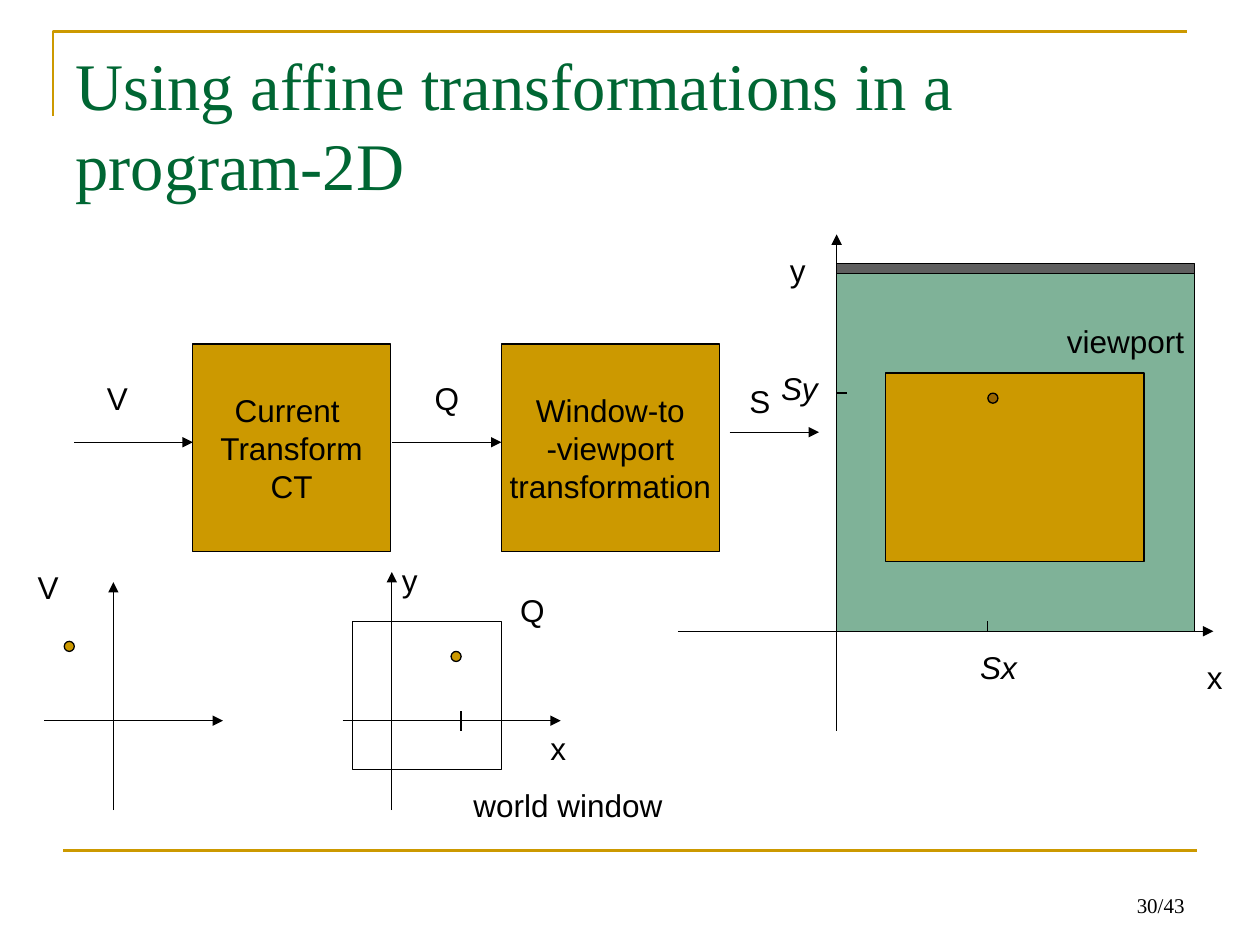
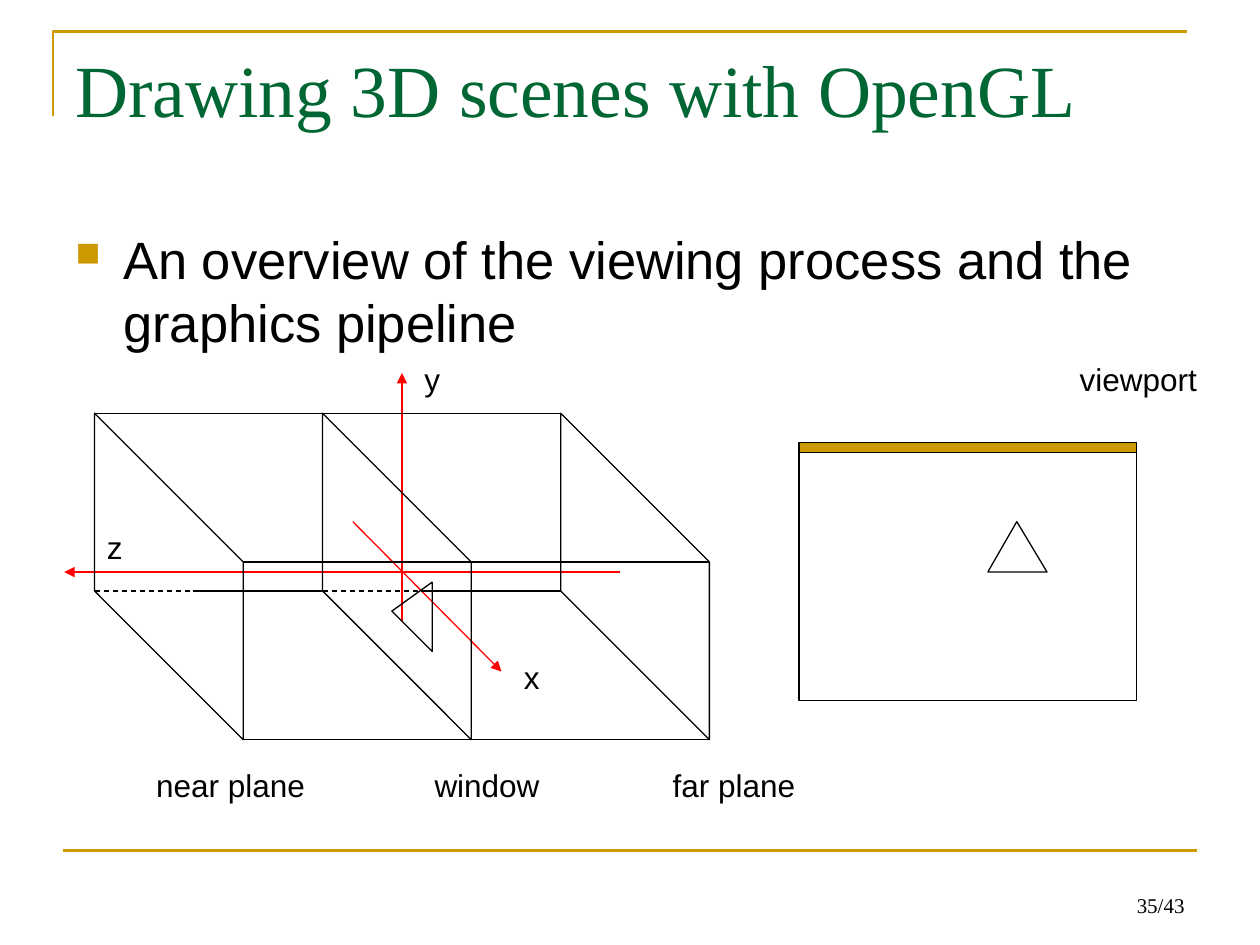
"""Build two slides on 2D affine transformations and the 3D viewing pipeline."""
from itertools import pairwise

from lxml.etree import SubElement
from pptx import Presentation
from pptx.dml.color import RGBColor
from pptx.enum.dml import MSO_LINE_DASH_STYLE as DASH
from pptx.enum.shapes import MSO_CONNECTOR as CONNECTOR, MSO_SHAPE as SHAPE
from pptx.enum.text import MSO_ANCHOR as ANCHOR, MSO_AUTO_SIZE as AUTO_SIZE, PP_ALIGN as ALIGN
from pptx.oxml.ns import qn
from pptx.util import Inches, Pt

COLORS = {"gold": "CC9900", "green": "006633", "black": "000000",
          "red": "FF0000", "gray": "5F5F5F", "brown": "996600"}
SERIF, SANS = "Times New Roman", "Arial"
DOT = 0.08

AFFINE = {
    "title": ("Using affine transformations in a program-2D", 38),
    "number": "30/43",
    "flow": [(0.59, 3.51, 1.53, 3.51), (3.11, 3.51, 3.98, 3.51), (5.79, 3.43, 6.5, 3.43)],
    "axes": [(6.64, 5.8, 6.64, 1.86), (5.38, 5.01, 9.63, 5.01),
             (0.35, 5.72, 1.77, 5.72), (0.9, 6.43, 0.9, 4.62),
             (2.72, 5.72, 4.45, 5.72), (3.11, 6.43, 3.11, 4.54)],
    "stages": [((1.53, 2.73, 1.57, 1.65), ["Current ", "Transform", "CT"]),
               ((3.98, 2.73, 1.73, 1.65), ["Window-to", "-viewport", "transformation"])],
    "screen": (6.64, 2.17, 2.84, 2.84),
    "viewport": (7.03, 2.96, 2.05, 1.5),
    "world_window": (2.8, 4.93, 1.18, 1.18),
    "ticks": [(6.64, 3.12, 6.72, 3.12), (7.84, 5.01, 7.84, 4.93), (3.66, 5.8, 3.66, 5.64)],
    "points": [(0.51, 5.09, "gold"), (3.58, 5.17, "gold"), (7.84, 3.12, "brown")],
    "labels": [("V", 0.75, 2.96, 0.36), ("Q", 3.35, 2.96, 0.39), ("S", 5.85, 2.98, 0.36),
               ("y", 6.17, 1.94, 0.32), ("x", 9.48, 5.17, 0.32), ("V", 0.2, 4.46, 0.36),
               ("x", 4.27, 5.74, 0.32), ("y", 3.09, 4.4, 0.32), ("Q", 4.03, 4.64, 0.39),
               ("world window", 3.66, 6.19, 1.7), ("viewport", 8.37, 2.51, 1.13)],
    "italic_labels": [("Sx", 7.68, 5.09, 0.49), ("Sy", 6.1, 2.88, 0.49)],
}
SCENE = {
    "title": ("Drawing 3D scenes with OpenGL", 42),
    "number": "35/43",
    "bullet": "An overview of the viewing process and the graphics pipeline",
    "axes": [(3.19, 4.93, 3.19, 2.96), (4.92, 4.54, 0.51, 4.54), (2.8, 4.14, 3.98, 5.33)],
    "planes": [0.75, 2.56, 4.45],
    "plane_top": 3.28,
    "plane_height": 1.41,
    "slant": 1.18,
    "hidden_length": 0.78,
    "triangles": [[(3.43, 4.62), (3.11, 4.85), (3.43, 5.17)],
                  [(8.07, 4.14), (7.84, 4.54), (8.31, 4.54)]],
    "screen": (6.34, 3.59, 2.68, 1.97),
    "labels": [("x", 4.06, 5.17, 0.32), ("y", 3.27, 2.81, 0.32), ("z", 0.75, 4.14, 0.32),
               ("near plane", 1.14, 6.03, 1.38), ("window", 3.35, 6.03, 1.05),
               ("far plane", 5.24, 6.03, 1.17), ("viewport", 8.47, 2.81, 1.13)],
}


def rgb(name):
    return RGBColor.from_string(COLORS[name])


def style_line(shape, color="black", width=0.75):
    shape.line.color.rgb = rgb(color)
    shape.line.width = Pt(width)


def write(shape, lines, size, font=SANS, color="black", align=ALIGN.LEFT, italic=None):
    frame = shape.text_frame
    frame.text = "\n".join(lines)
    for paragraph in frame.paragraphs:
        paragraph.alignment = align
        paragraph.font.size = Pt(size)
        paragraph.font.name = font
        paragraph.font.italic = italic
        paragraph.font.color.rgb = rgb(color)


def add_text(slide, box, text, size, **style):
    shape = slide.shapes.add_textbox(*map(Inches, box))
    shape.text_frame.word_wrap = True
    write(shape, [text], size, **style)
    return shape


def add_labels(slide, labels, italic=None):
    for text, left, top, width in labels:
        label = add_text(slide, (left, top, width, 0.4), text, 18, italic=italic)
        label.text_frame.word_wrap = False
        label.text_frame.auto_size = AUTO_SIZE.SHAPE_TO_FIT_TEXT


def add_line(slide, ends, color="black", width=0.75, arrow=False, dashed=False):
    connector = slide.shapes.add_connector(CONNECTOR.STRAIGHT, *map(Inches, ends))
    style_line(connector, color, width)
    if dashed:
        connector.line.dash_style = DASH.DASH
    if arrow:
        SubElement(connector.line._get_or_add_ln(), qn("a:tailEnd"), type="triangle")
    SubElement(connector._element.spPr, qn("a:effectLst"))


def add_box(slide, box, fill=None, kind=SHAPE.RECTANGLE):
    shape = slide.shapes.add_shape(kind, *map(Inches, box))
    shape.shadow.inherit = False
    style_line(shape)
    if fill:
        shape.fill.solid()
        shape.fill.fore_color.rgb = rgb(fill)
    else:
        shape.fill.background()
    return shape


def add_outline(slide, points, close, color="black", width=0.75):
    start, *rest = [tuple(map(Inches, point)) for point in points]
    builder = slide.shapes.build_freeform(*start)
    builder.add_line_segments(rest, close=close)
    shape = builder.convert_to_shape()
    shape.shadow.inherit = False
    shape.fill.background()
    style_line(shape, color, width)


def add_title_bar(slide, screen, fill):
    left, top, width, _ = screen
    add_box(slide, (left, top - DOT, width, DOT), fill)


def start_slide(presentation, content):
    slide = presentation.slides.add_slide(presentation.slide_layouts[6])
    add_outline(slide, [(0.42, 0.92), (0.42, 0.25), (9.42, 0.25)], False, "gold", 1.5)
    add_line(slide, (0.5, 6.75, 9.5, 6.75), "gold", 1.5)
    number = add_text(slide, (7.17, 6.83, 2.33, 0.5), content["number"], 12,
                      font=SERIF, align=ALIGN.RIGHT)
    number.text_frame.vertical_anchor = ANCHOR.BOTTOM
    title, size = content["title"]
    add_text(slide, (0.5, 0.3, 9, 1.25), title, size, font=SERIF, color="green")
    return slide


def build_affine(presentation):
    slide = start_slide(presentation, AFFINE)
    for ends in AFFINE["flow"] + AFFINE["axes"]:
        add_line(slide, ends, arrow=True)
    for box, lines in AFFINE["stages"]:
        stage = add_box(slide, box, "gold")
        stage.text_frame.word_wrap = False
        stage.text_frame.vertical_anchor = ANCHOR.MIDDLE
        write(stage, lines, 18, align=ALIGN.CENTER)
    screen = add_box(slide, AFFINE["screen"], "green")
    green = screen._element.spPr.find(qn("a:solidFill"))[0]
    SubElement(green, qn("a:alpha"), val="50000")
    add_title_bar(slide, AFFINE["screen"], "gray")
    add_box(slide, AFFINE["viewport"], "gold")
    add_box(slide, AFFINE["world_window"])
    for ends in AFFINE["ticks"]:
        add_line(slide, ends)
    for left, top, color in AFFINE["points"]:
        add_box(slide, (left, top, DOT, DOT), color, SHAPE.OVAL)
    add_labels(slide, AFFINE["labels"])
    add_labels(slide, AFFINE["italic_labels"], italic=True)


def add_bullet(slide, text):
    body = add_text(slide, (0.5, 1.75, 9, 4.95), text, 30)
    properties = body.text_frame.paragraphs[0]._p.get_or_add_pPr()
    properties.set("marL", str(Inches(0.38)))
    properties.set("indent", str(-Inches(0.38)))
    bullet_color = SubElement(properties, qn("a:buClr"))
    SubElement(bullet_color, qn("a:srgbClr"), val=COLORS["gold"])
    SubElement(properties, qn("a:buSzPct"), val="65000")
    SubElement(properties, qn("a:buChar"), char="■")
    properties.append(properties.find(qn("a:defRPr")))


def add_view_volume(slide):
    planes, slant = SCENE["planes"], SCENE["slant"]
    top = SCENE["plane_top"]
    bottom = top + SCENE["plane_height"]
    near, far = planes[0], planes[-1]
    for x in planes:
        add_outline(slide, [(x, top), (x + slant, top + slant),
                            (x + slant, bottom + slant), (x, bottom)], True)
    add_line(slide, (near, top, far, top))
    for y in (top, bottom):
        add_line(slide, (near + slant, y + slant, far + slant, y + slant))
    for left, right in pairwise(planes):
        middle = left + SCENE["hidden_length"]
        add_line(slide, (left, bottom, middle, bottom), dashed=True)
        add_line(slide, (middle, bottom, right, bottom))


def build_scene(presentation):
    slide = start_slide(presentation, SCENE)
    add_bullet(slide, SCENE["bullet"])
    for ends in SCENE["axes"]:
        add_line(slide, ends, "red", arrow=True)
    add_view_volume(slide)
    add_box(slide, SCENE["screen"])
    add_title_bar(slide, SCENE["screen"], "gold")
    for points in SCENE["triangles"]:
        add_outline(slide, points, True)
    add_labels(slide, SCENE["labels"])


def main():
    presentation = Presentation()
    presentation.slide_width, presentation.slide_height = Inches(10), Inches(7.5)
    build_affine(presentation)
    build_scene(presentation)
    presentation.save("out.pptx")


if __name__ == "__main__":
    main()
